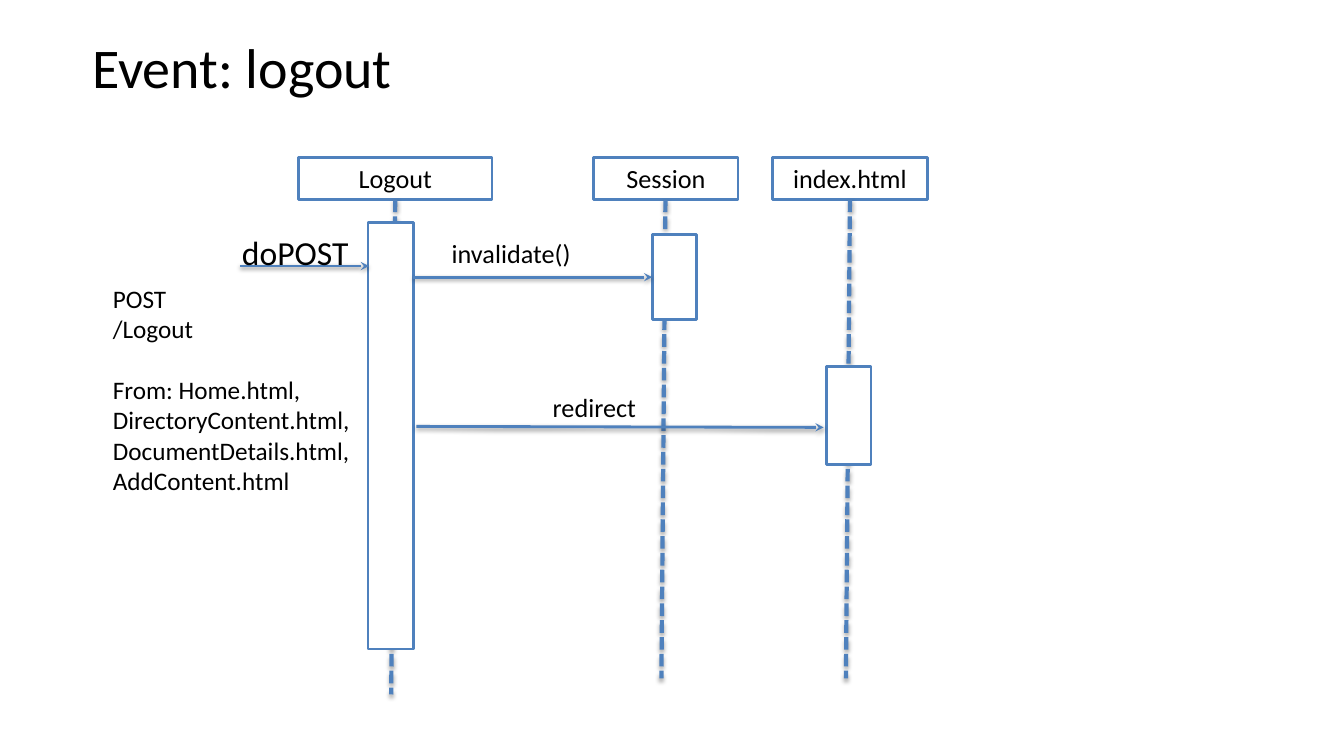
from dataclasses import dataclass

import lxml.etree
import pptx
import pptx.dml.color
import pptx.enum.dml
import pptx.enum.shapes
import pptx.enum.text
import pptx.oxml.ns
import pptx.util

PX = 9144
BLUE, WHITE, BLACK = "4F81BD", "FFFFFF", "000000"
FONT = "Calibri"
HEADER_TOP, HEADER_HEIGHT = 156, 42
LEFT = pptx.enum.text.PP_ALIGN.LEFT
CENTER = pptx.enum.text.PP_ALIGN.CENTER
TOP = pptx.enum.text.MSO_ANCHOR.TOP
MIDDLE = pptx.enum.text.MSO_ANCHOR.MIDDLE


@dataclass(frozen=True)
class Box:
    left: int
    top: int
    width: int
    height: int


@dataclass(frozen=True)
class Participant:
    name: str
    left: int
    width: int
    line_bottom: int
    activation: Box


@dataclass(frozen=True)
class Message:
    start: tuple[int, int]
    end: tuple[int, int]


@dataclass(frozen=True)
class Label:
    lines: tuple[str, ...]
    box: Box
    size: float
    align: pptx.enum.text.PP_ALIGN = LEFT
    anchor: pptx.enum.text.MSO_ANCHOR = TOP
    gap_before: str = ""


PARTICIPANTS = (
    Participant("Logout", 296, 192, 689, Box(365, 221, 45, 423)),
    Participant("Session", 589, 143, 673, Box(647, 233, 44, 84)),
    Participant("index.html", 766, 154, 673, Box(820, 364, 44, 97)),
)
MESSAGES = (
    Message((238, 264), (366, 264)),
    Message((410, 275), (647, 275)),
    Message((413, 423), (817, 424)),
)
LABELS = (
    Label(("Event: logout",), Box(30, 30, 420, 71), 40, CENTER, MIDDLE),
    Label(("doPOST",), Box(227, 223, 140, 40), 24),
    Label(
        ("POST", "/Logout", "From: Home.html,", "DirectoryContent.html,",
         "DocumentDetails.html,", "AddContent.html"),
        Box(99, 274, 264, 228), 18, gap_before="From: Home.html,",
    ),
    Label(("redirect",), Box(435, 381, 309, 37), 18.7, CENTER),
    Label(("invalidate()",), Box(435, 228, 234, 34), 18.7),
)


def color(value: str) -> pptx.dml.color.RGBColor:
    return pptx.dml.color.RGBColor.from_string(value)


def place(box: Box) -> tuple[int, int, int, int]:
    return box.left * PX, box.top * PX, box.width * PX, box.height * PX


def write(frame, label: Label) -> None:
    frame.word_wrap = True
    frame.vertical_anchor = label.anchor
    frame.margin_left = frame.margin_right = 13 * PX
    frame.margin_top = frame.margin_bottom = 7 * PX
    for index, line in enumerate(label.lines):
        para = frame.add_paragraph() if index else frame.paragraphs[0]
        para.text = line
        para.alignment = label.align
        para.font.name = FONT
        para.font.size = pptx.util.Pt(label.size)
        para.font.color.rgb = color(BLACK)
        if line == label.gap_before:
            para.space_before = pptx.util.Pt(22)


def draw_box(page, box: Box):
    shape = page.shapes.add_shape(
        pptx.enum.shapes.MSO_SHAPE.RECTANGLE, *place(box))
    shape.shadow.inherit = False
    shape.fill.solid()
    shape.fill.fore_color.rgb = color(WHITE)
    shape.line.color.rgb = color(BLUE)
    shape.line.width = pptx.util.Pt(2)
    return shape


def draw_line(page, start: tuple[int, int], end: tuple[int, int],
              width: int, distance: float, opacity: int):
    line = page.shapes.add_connector(
        pptx.enum.shapes.MSO_CONNECTOR.STRAIGHT,
        *(value * PX for value in start + end))
    line.line.color.rgb = color(BLUE)
    line.line.width = pptx.util.Pt(width)
    qn = pptx.oxml.ns.qn
    effects = lxml.etree.SubElement(
        line._element.spPr, qn("a:effectLst"))
    shadow = lxml.etree.SubElement(
        effects, qn("a:outerShdw"), blurRad=str(pptx.util.Pt(3.1)),
        dist=str(pptx.util.Pt(distance)), dir="5400000", rotWithShape="0")
    tint = lxml.etree.SubElement(shadow, qn("a:srgbClr"), val=BLACK)
    lxml.etree.SubElement(tint, qn("a:alpha"), val=str(opacity * 1000))
    return line


def draw_participant(page, item: Participant) -> None:
    header = Box(item.left, HEADER_TOP, item.width, HEADER_HEIGHT)
    label = Label((item.name,), header, 18.7, CENTER, MIDDLE)
    write(draw_box(page, header).text_frame, label)
    middle = item.left + item.width // 2
    lifeline = draw_line(page, (middle, HEADER_TOP + HEADER_HEIGHT),
                         (middle - 4, item.line_bottom), 3, 1.8, 35)
    lifeline.line.dash_style = pptx.enum.dml.MSO_LINE.SQUARE_DOT
    draw_box(page, item.activation)


def draw_message(page, message: Message) -> None:
    arrow = draw_line(page, message.start, message.end, 2, 1.6, 38)
    lxml.etree.SubElement(arrow.line._get_or_add_ln(),
                          pptx.oxml.ns.qn("a:tailEnd"), type="stealth")


def draw_label(page, label: Label) -> None:
    write(page.shapes.add_textbox(*place(label.box)).text_frame, label)


def main() -> None:
    deck = pptx.Presentation()
    deck.slide_width, deck.slide_height = 1333 * PX, 750 * PX
    page = deck.slides.add_slide(deck.slide_layouts[6])
    for participant in PARTICIPANTS:
        draw_participant(page, participant)
    for message in MESSAGES:
        draw_message(page, message)
    for label in LABELS:
        draw_label(page, label)
    deck.save("out.pptx")


if __name__ == "__main__":
    main()
